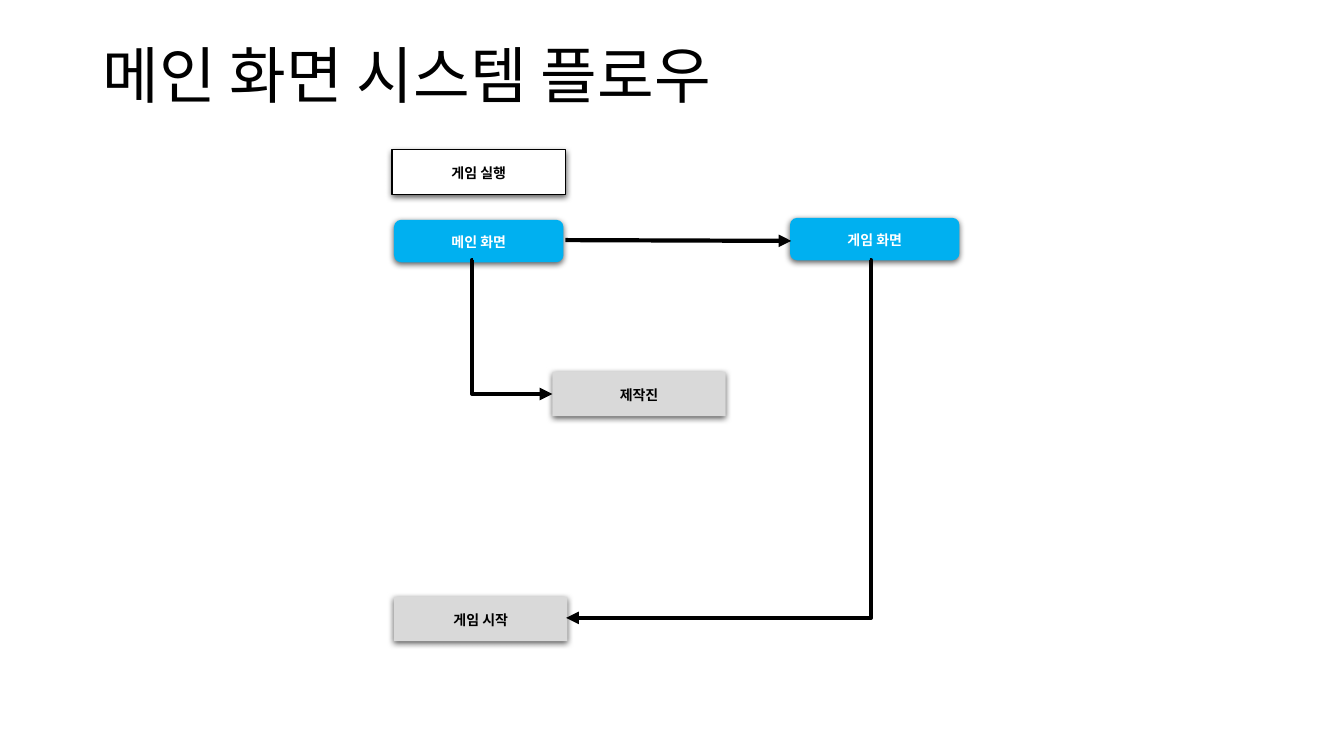
from lxml import etree
from pptx import Presentation
from pptx import util as u
from pptx.dml.color import RGBColor
from pptx.enum import shapes, text
from pptx.oxml import ns

BLACK = RGBColor(0, 0, 0)
WHITE = RGBColor(255, 255, 255)
BLUE = RGBColor(0, 176, 240)
GRAY = RGBColor(217, 217, 217)
FACE = "Noto Sans CJK KR"


def sub(node, tag, **attrs):
    """Append a child element in the drawing namespace."""
    return etree.SubElement(node, ns.qn("a:" + tag), attrs)


def write(shape, words, para, font):
    """Put one formatted line of text into a shape."""
    frame = shape.text_frame
    frame.word_wrap = True
    line = frame.paragraphs[0]
    run = line.add_run()
    run.text = words
    run.font.color.rgb = font.pop("color")
    for item, style in ((line, para), (run.font, font)):
        for key, value in style.items():
            setattr(item, key, value)
    sub(run.font._element, "ea", typeface=FACE)


deck = Presentation()
deck.slide_width, deck.slide_height = u.Cm(33.87), u.Cm(19.05)
slide = deck.slides.add_slide(deck.slide_layouts[6])

# Steps: name, left, top, fill
RECT = shapes.MSO_SHAPE.RECTANGLE
ROUND = shapes.MSO_SHAPE.ROUNDED_RECTANGLE
sizes = {RECT: (4.37, 1.12), ROUND: (4.27, 1.07)}
steps = [
    ("메인 화면", 9.93, 5.54, BLUE),
    ("게임 실행", 9.88, 3.78, WHITE),
    ("제작진", 13.92, 9.37, GRAY),
    ("게임 화면", 19.91, 5.49, BLUE),
    ("게임 시작", 9.93, 15.04, GRAY),
]
center = {"alignment": text.PP_ALIGN.CENTER, "line_spacing": 1.07,
          "space_after": u.Pt(8)}
for name, left, top, fill in steps:
    kind = ROUND if fill == BLUE else RECT
    box = slide.shapes.add_shape(
        kind, *(u.Cm(n) for n in (left, top, *sizes[kind])))
    box.fill.solid()
    box.fill.fore_color.rgb = fill
    if fill == WHITE:
        box.line.color.rgb = BLACK
        box.line.width = u.Pt(0.75)
    else:
        box.line.fill.background()
    box.shadow.inherit = False
    glow = sub(box._element.spPr.find(ns.qn("a:effectLst")), "outerShdw",
               blurRad=str(u.Pt(4.5)), dist=str(u.Pt(1.5)), dir="5400000",
               algn="t", rotWithShape="0")
    sub(sub(glow, "srgbClr", val="000000"), "alpha", val="63000")
    box.text_frame.vertical_anchor = text.MSO_ANCHOR.MIDDLE
    write(box, name, center,
          {"name": FACE, "size": u.Pt(10), "bold": True,
           "color": WHITE if fill == BLUE else BLACK})

# Arrows: kind, start x, start y, end x, end y
LINE = shapes.MSO_CONNECTOR.STRAIGHT
BENT = shapes.MSO_CONNECTOR.ELBOW
arrows = [
    (LINE, 14.25, 6.05, 19.94, 6.07),
    (BENT, 11.91, 6.55, 13.92, 9.93),
    (BENT, 21.92, 6.55, 14.27, 15.57),
]
for kind, *ends in arrows:
    arrow = slide.shapes.add_connector(kind, *(u.Cm(n) for n in ends))
    arrow.line.color.rgb = BLACK
    arrow.line.width = u.Pt(3)
    sub(arrow.line._get_or_add_ln(), "tailEnd", type="triangle")
    props = arrow._element.spPr
    sub(props, "effectLst")
    if kind == BENT:  # turn right at the start: down first, then across
        sub(props.find(".//" + ns.qn("a:avLst")), "gd",
            name="adj1", fmla="val -400")

title = slide.shapes.add_textbox(
    *(u.Cm(n) for n in (2.34, 1.02, 29.21, 3.68)))
write(title, "메인 화면 시스템 플로우", {"line_spacing": 0.9},
      {"name": FACE, "size": u.Pt(44), "color": BLACK})

deck.save("out.pptx")
